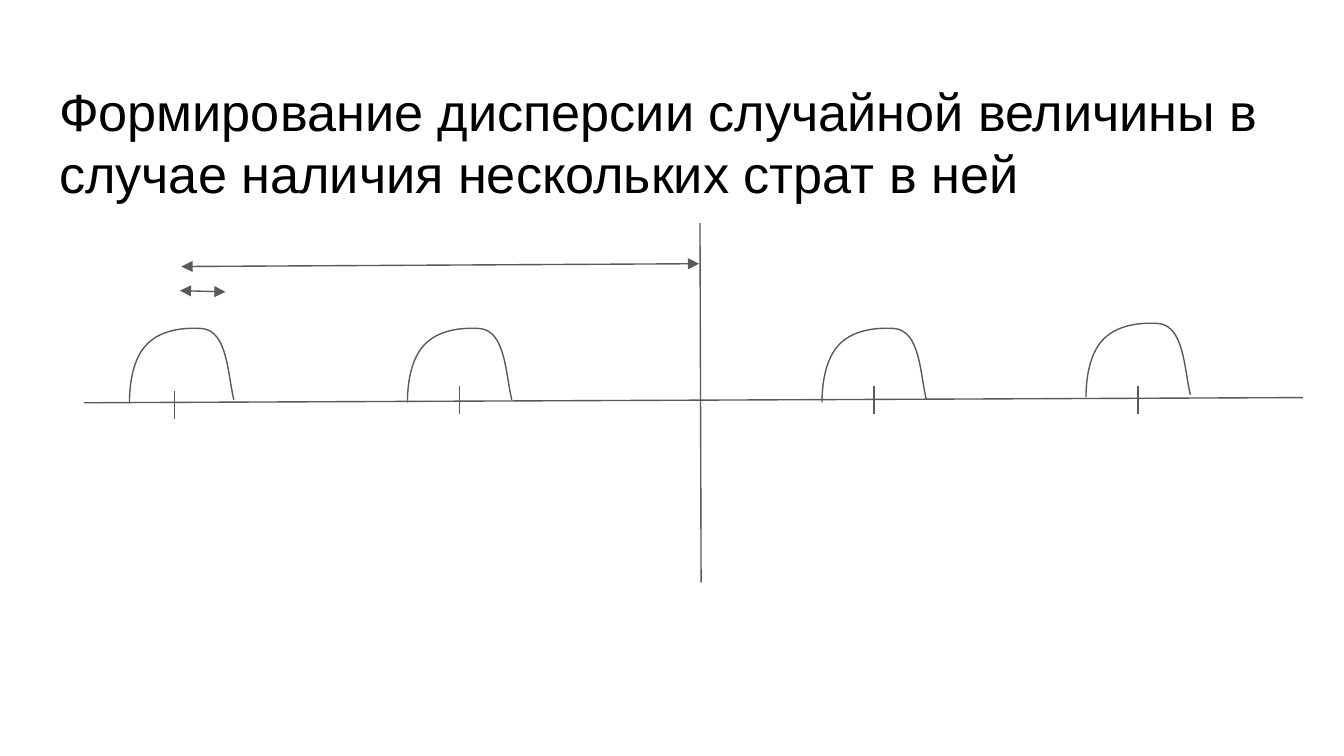
from lxml.etree import SubElement
from pptx import Presentation
from pptx.dml.color import RGBColor
from pptx.enum.shapes import MSO_CONNECTOR as Connector
from pptx.enum.text import MSO_ANCHOR as Anchor, MSO_AUTO_SIZE as AutoSize, PP_ALIGN as Align
from pptx.oxml.ns import qn
from pptx.util import Pt

BLACK = RGBColor(0x00, 0x00, 0x00)
GRAY = RGBColor(0x59, 0x59, 0x59)
WHITE = RGBColor(0xFF, 0xFF, 0xFF)

HUMP_HEIGHT = 39.6
HUMP = [
    [(0, -12.2), (2.6, -26.2), (11.5, -33.1)],
    [(18.7, -38.9), (29.5, -40.3), (38.9, -HUMP_HEIGHT)],
    [(52.6, -38.2), (52.6, -15.1), (55.9, -1.4)],
]
TICK_LENGTH = 15
STRATA = [
    (69.4, 215.6, 93.5, 209.5),
    (218.3, 215.6, 246.2, 206.8),
    (440.4, 215.6, 468.2, 206.8),
    (581.8, 212.9, 609.6, 206.8),
]


def write(frame, text, font="Arial", size=28, color=BLACK, align=Align.LEFT):
    frame.text = text
    paragraph = frame.paragraphs[0]
    paragraph.alignment = align
    run = paragraph.runs[0]
    run.font.name = font
    run.font.size = Pt(size)
    run.font.color.rgb = color


class Sketch:
    def __init__(self, slide, color=GRAY, width=0.75):
        self.slide = slide
        self.color = color
        self.width = width

    def stroke(self, line):
        line.color.rgb = self.color
        line.width = Pt(self.width)

    def title(self, text, left, top, width, height):
        title = self.slide.shapes.title
        title.left, title.top, title.width, title.height = map(Pt, (left, top, width, height))
        frame = title.text_frame
        frame.auto_size = AutoSize.NONE
        frame.word_wrap = True
        frame.vertical_anchor = Anchor.TOP
        frame.margin_left = frame.margin_top = frame.margin_right = frame.margin_bottom = Pt(7.2)
        write(frame, text)

    def line(self, start, end, arrows=False):
        connector = self.slide.shapes.add_connector(
            Connector.STRAIGHT, *map(Pt, (*start, *end)))
        self.stroke(connector.line)
        if arrows:
            outline = connector.line._get_or_add_ln()
            for tip in ("a:headEnd", "a:tailEnd"):
                SubElement(outline, qn(tip), type="triangle", w="med", len="med")
        SubElement(connector._element.spPr, qn("a:effectLst"))

    def hump(self, left, base):
        builder = self.slide.shapes.build_freeform(Pt(left), Pt(base))
        ends = [segment[-1] for segment in HUMP]
        builder.add_line_segments([(Pt(left + x), Pt(base + y)) for x, y in ends], close=False)
        curve = builder.convert_to_shape()
        straights = list(curve._element.iter(qn("a:lnTo")))
        for straight, segment in zip(straights, HUMP):
            outline = straight.getparent()
            outline.remove(straight)
            bend = SubElement(outline, qn("a:cubicBezTo"))
            for x, y in segment:
                SubElement(bend, qn("a:pt"), x=str(int(Pt(x))), y=str(int(Pt(HUMP_HEIGHT + y))))
        curve.fill.background()
        curve.shadow.inherit = False
        self.stroke(curve.line)


def main():
    deck = Presentation()
    deck.slide_width, deck.slide_height = Pt(720), Pt(405)
    slide = deck.slides.add_slide(deck.slide_layouts[5])
    slide.background.fill.solid()
    slide.background.fill.fore_color.rgb = WHITE

    sketch = Sketch(slide)
    sketch.title("Формирование дисперсии случайной величины в случае наличия нескольких страт в ней",
                 24.5, 35, 671, 45)
    sketch.line((45, 215.8), (698, 213))
    for _, _, mean, tick_top in STRATA:
        sketch.line((mean, tick_top), (mean, tick_top + TICK_LENGTH))
    sketch.line((375, 119.5), (375.6, 312))
    for left, base, _, _ in STRATA:
        sketch.hump(left, base)
    sketch.line((374.5, 141.3), (97.2, 142.8), arrows=True)
    sketch.line((96.4, 155.7), (120.8, 156.4), arrows=True)
    deck.save("out.pptx")


if __name__ == "__main__":
    main()
